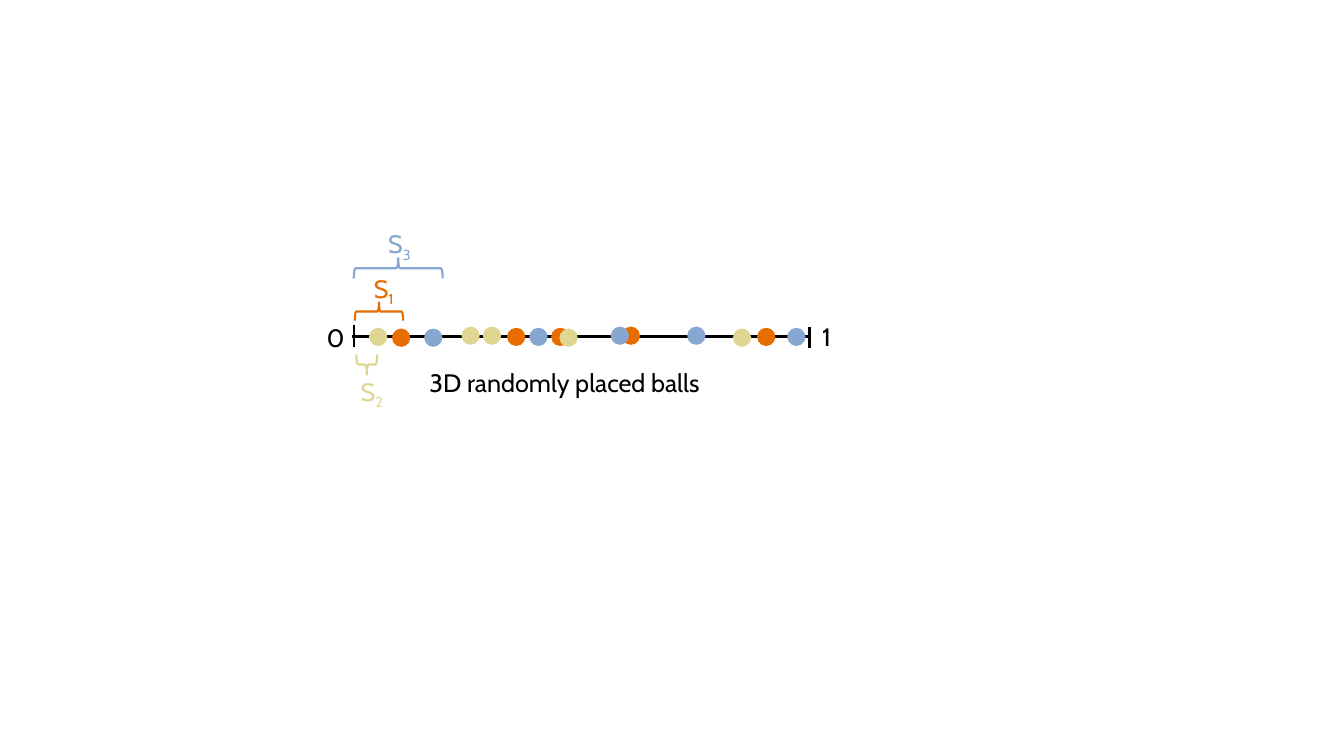
import pptx
import pptx.dml.color
import pptx.enum.shapes
import pptx.enum.text
import pptx.oxml
import pptx.util

Cm = pptx.util.Cm
SHAPES = pptx.enum.shapes.MSO_SHAPE
BLACK, ORANGE, BLUE, SAND = "000000", "E76D00", "87A7D0", "DFD693"
BALL_SIZE = 0.46


def rgb(color):
    return pptx.dml.color.RGBColor.from_string(color)


def add_label(slide, text, left, top, width, color, subscript=""):
    label = slide.shapes.add_textbox(Cm(left), Cm(top), Cm(width), Cm(1.02))
    label.text_frame.word_wrap = True
    label.text_frame.auto_size = pptx.enum.text.MSO_AUTO_SIZE.SHAPE_TO_FIT_TEXT
    paragraph = label.text_frame.paragraphs[0]
    paragraph.font.name = "Cabin"
    paragraph.font.size = pptx.util.Pt(18)
    paragraph.font.color.rgb = rgb(color)
    paragraph.add_run().text = text
    if subscript:
        index = paragraph.add_run()
        index.text = subscript
        index._r.get_or_add_rPr().set("baseline", "-25000")


presentation = pptx.Presentation()
presentation.slide_width = Cm(33.87)
presentation.slide_height = Cm(19.05)
slide = presentation.slides.add_slide(presentation.slide_layouts[6])

# Unit interval: axis and its two end ticks
for x1, y1, x2, y2 in [
    (8.86, 8.48, 20.35, 8.48),
    (8.92, 8.2, 8.92, 8.74),
    (20.4, 8.23, 20.4, 8.76),
]:
    axis = slide.shapes.add_connector(
        pptx.enum.shapes.MSO_CONNECTOR.STRAIGHT, Cm(x1), Cm(y1), Cm(x2), Cm(y2))
    axis.line.color.rgb = rgb(BLACK)
    axis.line.width = pptx.util.Pt(1.75)
    axis._element.spPr.append(pptx.oxml.parse_xml(
        '<a:effectLst xmlns:a="http://schemas.openxmlformats.org/drawingml/2006/main"/>'))

# End labels and caption
add_label(slide, "0", 7.98, 8.0, 0.94, BLACK)
add_label(slide, "1", 20.47, 7.98, 0.94, BLACK)
add_label(slide, "3D randomly placed balls", 10.57, 9.14, 8.74, BLACK)

# Balls of each colour, as (left, top)
balls = {
    ORANGE: [(9.88, 8.28), (12.78, 8.26), (13.89, 8.26), (19.08, 8.26), (15.67, 8.23)],
    BLUE: [(10.69, 8.28), (13.34, 8.26), (15.39, 8.23), (17.32, 8.23), (19.84, 8.26)],
    SAND: [(9.3, 8.26), (11.63, 8.23), (12.17, 8.23), (14.1, 8.28), (18.47, 8.28)],
}
for color, places in balls.items():
    for left, top in places:
        ball = slide.shapes.add_shape(
            SHAPES.OVAL, Cm(left), Cm(top), Cm(BALL_SIZE), Cm(BALL_SIZE))
        ball.shadow.inherit = False
        ball.fill.solid()
        ball.fill.fore_color.rgb = rgb(color)
        ball.line.fill.background()

# Distances S1 to S3: brace box before rotation, rotation, label corner
distances = [
    ("1", ORANGE, (9.32, 7.24, 0.46, 1.22), 90, (9.17, 6.76)),
    ("2", SAND, (8.99, 8.92, 0.51, 0.53), 270, (8.84, 9.35)),
    ("3", BLUE, (9.78, 5.64, 0.51, 2.24), 90, (9.53, 5.64)),
]
for number, color, box, rotation, (left, top) in distances:
    brace = slide.shapes.add_shape(SHAPES.LEFT_BRACE, *map(Cm, box))
    brace.rotation = rotation
    brace.shadow.inherit = False
    brace.fill.background()
    brace.line.color.rgb = rgb(color)
    brace.line.width = pptx.util.Pt(1.5)
    add_label(slide, "S", left, top, 1.35, color, subscript=number)

presentation.save("out.pptx")
